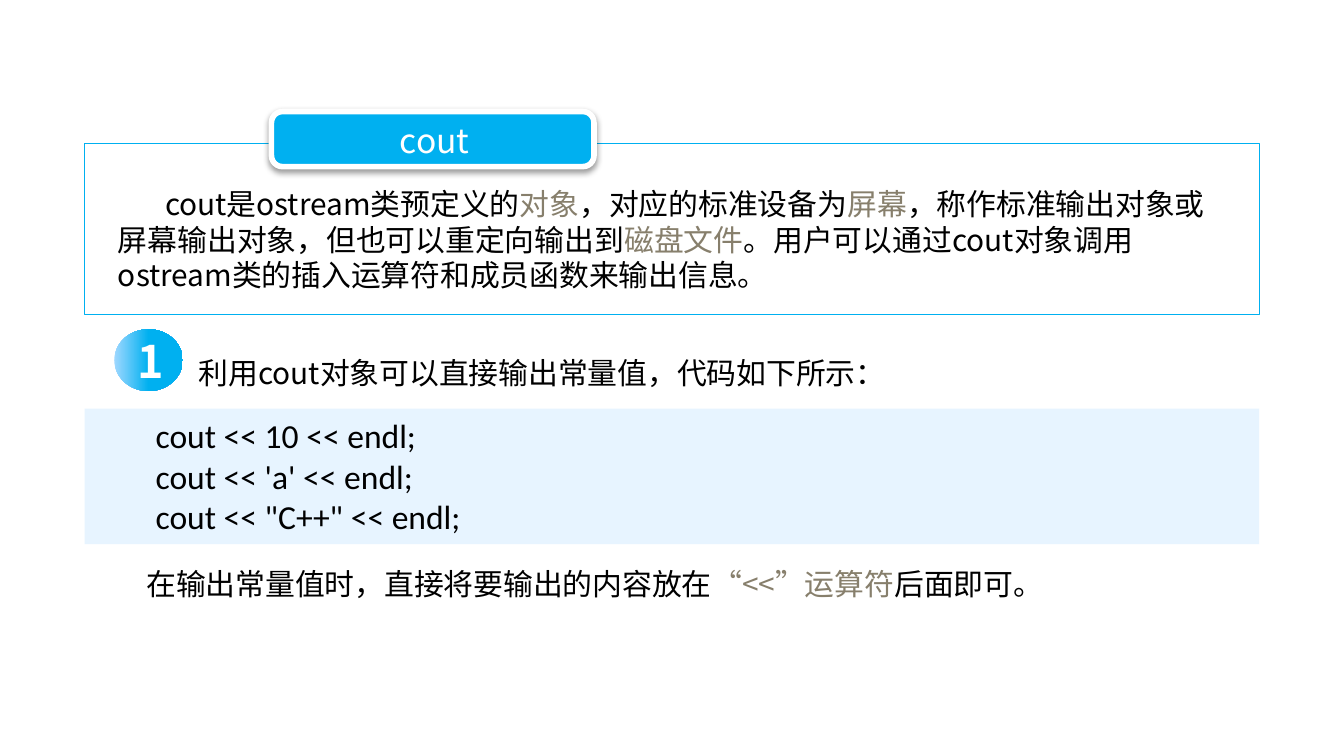
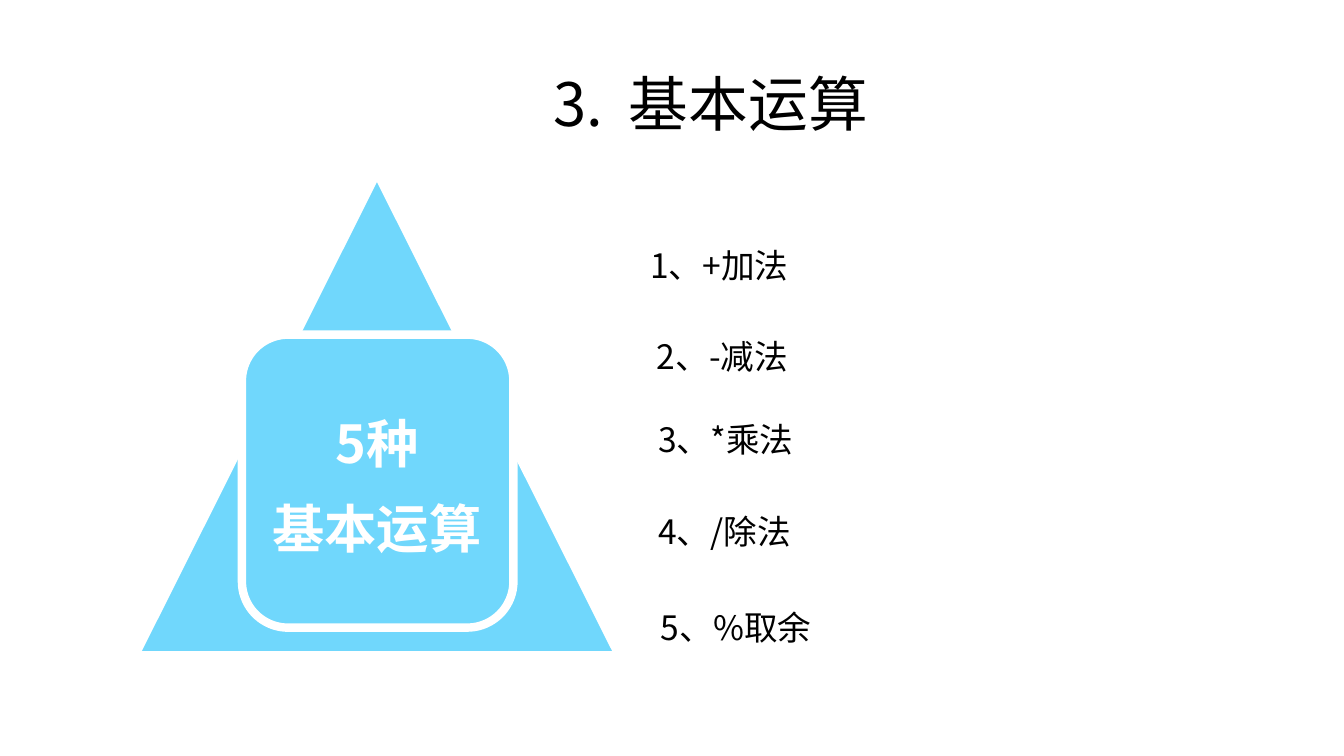
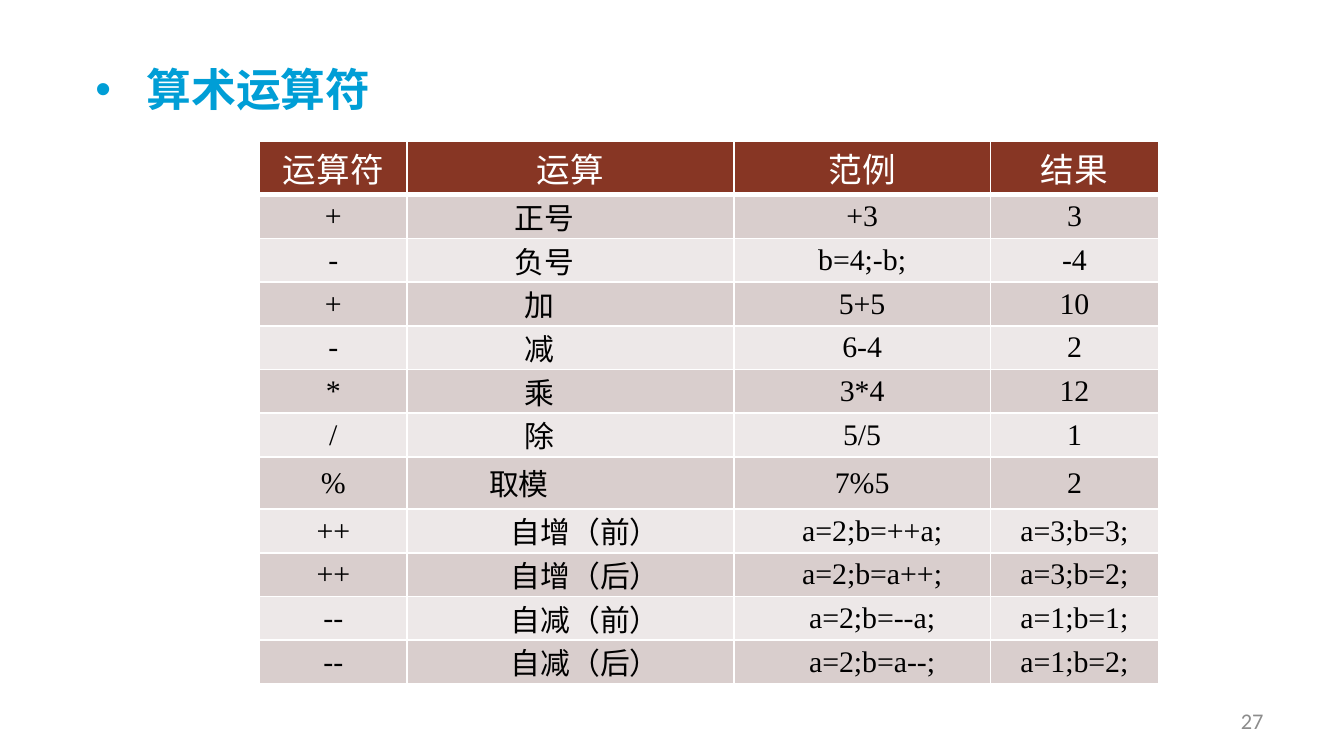
from dataclasses import dataclass
from typing import NamedTuple, Optional

from lxml import etree
from pptx import Presentation
from pptx import util as u
from pptx.dml.color import RGBColor
from pptx.enum import shapes, text
from pptx.oxml import ns

CYAN = RGBColor(0x00, 0xB0, 0xF0)
SKY = RGBColor(0x70, 0xD7, 0xFC)
ICE = RGBColor(0x9F, 0xD8, 0xFF)
CODE_BAND = RGBColor(0xE7, 0xF4, 0xFF)
TITLE_BLUE = RGBColor(0x00, 0x9E, 0xD6)
TAUPE = RGBColor(0x87, 0x7F, 0x6C)
GREY = RGBColor(0x8C, 0x8C, 0x8C)
RUST = RGBColor(0x87, 0x36, 0x24)
ROW_FILLS = (RGBColor(0xD9, 0xCE, 0xCD), RGBColor(0xED, 0xE8, 0xE8))
WHITE = RGBColor(0xFF, 0xFF, 0xFF)
BLACK = RGBColor(0x00, 0x00, 0x00)

CJK, SANS, SERIF = "Noto Sans CJK SC", "Calibri", "Times New Roman"
LEFT, CENTER, RIGHT, JUSTIFY = (
    text.PP_ALIGN.LEFT, text.PP_ALIGN.CENTER, text.PP_ALIGN.RIGHT, text.PP_ALIGN.JUSTIFY)
MIDDLE, TOP = text.MSO_ANCHOR.MIDDLE, text.MSO_ANCHOR.TOP

COLUMNS, ROWS = 100, 56.25
CELL = u.Inches(0.1)
TITLE_ONLY, BLANK = 5, 6


class Box(NamedTuple):
    """Left, top, width and height in grid cells."""
    x: float
    y: float
    w: float
    h: float


@dataclass(frozen=True)
class Style:
    size: float = 16
    color: RGBColor = BLACK
    font: str = CJK
    bold: bool = False
    align: text.PP_ALIGN = LEFT
    spacing: Optional[float] = None
    indent: float = 0
    hanging: float = 0


class Part(NamedTuple):
    """A stretch of a paragraph in its own colour."""
    words: str
    color: RGBColor


class Row(NamedTuple):
    operator: str
    operation: str
    example: str
    result: str


def grid(n: float) -> int:
    return round(n * CELL)


def place(sp, box: Box) -> None:
    for name, n in zip(("left", "top", "width", "height"), box):
        setattr(sp, name, grid(n))


def add_xml(parent, tag: str, **attrs: str):
    return etree.SubElement(parent, ns.qn(tag), attrs)


def write_paragraph(p, parts, style: Style) -> None:
    p.alignment = style.align
    if style.spacing:
        p.line_spacing = style.spacing
    if style.indent or style.hanging:
        pPr = p._p.get_or_add_pPr()
        pPr.set("marL", str(grid(style.hanging)))
        pPr.set("indent", str(grid(style.indent - style.hanging)))
    for part in [Part(parts, style.color)] if isinstance(parts, str) else parts:
        r = p.add_run()
        r.text = part.words
        values = {"size": u.Pt(style.size), "bold": style.bold, "name": style.font}
        for name, value in values.items():
            setattr(r.font, name, value)
        r.font.color.rgb = part.color
        add_xml(r._r.get_or_add_rPr(), "a:ea", typeface=CJK)


def write(tf, paragraphs, style: Style, **frame) -> None:
    for name, value in {"word_wrap": True, "vertical_anchor": TOP, **frame}.items():
        setattr(tf, name, value)
    for i, parts in enumerate(paragraphs):
        write_paragraph(tf.add_paragraph() if i else tf.paragraphs[0], parts, style)


def add_text(s, box: Box, paragraphs, style: Style, **frame) -> None:
    sp = s.shapes.add_textbox(*map(grid, box))
    frame = {"auto_size": text.MSO_AUTO_SIZE.SHAPE_TO_FIT_TEXT, **frame}
    write(sp.text_frame, paragraphs, style, **frame)


def add_shape(s, kind, box: Box, fill: RGBColor, line: Optional[RGBColor] = None,
              width: float = 0, corner: Optional[float] = None):
    sp = s.shapes.add_shape(kind, *map(grid, box))
    sp.shadow.inherit = False
    sp.fill.solid()
    sp.fill.fore_color.rgb = fill
    if line is None:
        sp.line.fill.background()
    else:
        sp.line.color.rgb = line
        sp.line.width = u.Pt(width)
    if corner is not None:
        sp.adjustments[0] = corner
    return sp


def add_shadow(sp) -> None:
    effects = sp._element.spPr.find(ns.qn("a:effectLst"))
    shadow = add_xml(effects, "a:outerShdw", blurRad=str(u.Pt(3.1)),
                     dist=str(u.Pt(1.6)), dir="5400000", rotWithShape="0")
    color = add_xml(shadow, "a:srgbClr", val="000000")
    add_xml(color, "a:alpha", val="38000")


def set_title(s, box: Box, words: str, style: Style, bullet_font: str,
              bullet: str, wrap: bool = True, **attrs: str) -> None:
    """Place the title and give it a bullet or a number."""
    sp = s.shapes.title
    place(sp, box)
    pPr = sp.text_frame.paragraphs[0]._p.get_or_add_pPr()
    add_xml(pPr, "a:buFont", typeface=bullet_font)
    add_xml(pPr, bullet, **attrs)
    write(sp.text_frame, [words], style, word_wrap=wrap,
          auto_size=text.MSO_AUTO_SIZE.SHAPE_TO_FIT_TEXT)


def fill_cell(cell, words: str, style: Style, fill: RGBColor, bottom: float) -> None:
    tcPr = cell._tc.get_or_add_tcPr()
    for side, width in {"L": 1, "R": 1, "T": 1, "B": bottom}.items():
        ln = add_xml(tcPr, f"a:ln{side}", w=str(u.Pt(width)))
        add_xml(add_xml(ln, "a:solidFill"), "a:srgbClr", val=str(WHITE))
    cell.fill.solid()
    cell.fill.fore_color.rgb = fill
    margins = {"margin_left": 0.7, "margin_right": 0.7, "margin_top": 0, "margin_bottom": 0}
    for name, n in margins.items():
        setattr(cell, name, grid(n))
    cell.vertical_anchor = MIDDLE
    write_paragraph(cell.text_frame.paragraphs[0], words, style)


def operation_layout(words: str) -> tuple:
    """Alignment and first-line indent of an operation's name."""
    if "自" in words:
        return CENTER, 2.2
    if words == "取模":
        return LEFT, 5.4
    return JUSTIFY, 8 if len(words) == 1 else 7.3


def cout_slide(prs) -> None:
    s = prs.slides.add_slide(prs.slide_layouts[BLANK])
    shape = shapes.MSO_SHAPE
    margin, width = 6.3, 87.4
    add_shape(s, shape.RECTANGLE, Box(margin, 10.7, width, 12.7), WHITE, CYAN, 0.75)
    tab = add_shape(s, shape.ROUNDED_RECTANGLE, Box(20.2, 8.3, 24, 4.1), CYAN, WHITE, 3, 0.2)
    add_shadow(tab)
    code = Box(margin, 30.4, width, 10.1)
    add_shape(s, shape.RECTANGLE, code, CODE_BAND)

    add_text(s, Box(7.8, 13.3, 83.6, 9.1), [[
        Part("cout是ostream类预定义的", BLACK), Part("对象", TAUPE),
        Part("，对应的标准设备为", BLACK), Part("屏幕", TAUPE),
        Part("，称作标准输出对象或屏幕输出对象，但也可以重定向输出到", BLACK),
        Part("磁盘文件", TAUPE),
        Part("。用户可以通过cout对象调用ostream类的插入运算符和成员函数来输出信息。", BLACK),
    ]], Style(indent=3.5))
    add_text(s, Box(13.8, 25.9, 69.7, 3.7),
             ["利用cout对象可以直接输出常量值，代码如下所示："], Style())
    add_text(s, Box(10.6, code.y, 50, code.h),
             ["cout << 10 << endl;", "cout << 'a' << endl;", 'cout << "C++" << endl;'],
             Style(18, font=SANS))
    add_text(s, Box(9.9, 41.6, 84.4, 3.7), [[
        Part("在输出常量值时，直接将要输出的内容放在", BLACK),
        Part("“<<”运算符", TAUPE), Part("后面即可。", BLACK)]], Style())
    add_text(s, Box(20.8, 8.4, 23.1, 4), ["cout"], Style(18, WHITE, align=CENTER))

    badge = add_shape(s, shape.OVAL, Box(8.5, 24.5, 5.1, 4.6), CYAN)
    badge.fill.gradient()
    badge.fill.gradient_angle = 0
    for stop, color, position in zip(badge.fill.gradient_stops, (ICE, CYAN), (0, 0.5)):
        stop.color.rgb = color
        stop.position = position
    write(badge.text_frame, ["1"], Style(24, WHITE, bold=True, align=CENTER),
          vertical_anchor=MIDDLE)


def operations_slide(prs) -> None:
    s = prs.slides.add_slide(prs.slide_layouts[TITLE_ONLY])
    set_title(s, Box(10.8, 4.5, 84.2, 6.4), "基本运算",
              Style(32, font=SERIF, align=CENTER, hanging=5.6),
              CJK, "a:buAutoNum", type="arabicPeriod", startAt="3")
    shape = shapes.MSO_SHAPE
    add_shape(s, shape.ISOSCELES_TRIANGLE, Box(10.3, 13.2, 35.5, 35.4), SKY, WHITE, 2.25)
    add_shape(s, shape.ROUNDED_RECTANGLE, Box(18, 24.9, 20.2, 21.8), SKY, WHITE, 4.5, 0.17)
    add_text(s, Box(17.1, 28.5, 21.9, 20.1), ["5种", "基本运算"],
             Style(28, WHITE, bold=True, align=CENTER, spacing=1.35))
    operations = (
        (47.4, 17.7, "+加法"), (47.9, 24.5, "-减法"), (48, 30.7, "*乘法"),
        (48, 37.5, "/除法"), (48.2, 44.7, "%取余"))
    for i, (x, y, words) in enumerate(operations, 1):
        add_text(s, Box(x, y, 29.4, 4), [f"{i}、{words}"], Style(18))


def operators_slide(prs) -> None:
    s = prs.slides.add_slide(prs.slide_layouts[TITLE_ONLY])
    add_text(s, Box(71.7, 52.1, 23.3, 3), ["27"], Style(12, GREY, SANS, align=RIGHT),
             vertical_anchor=MIDDLE, auto_size=text.MSO_AUTO_SIZE.NONE)
    set_title(s, Box(6.1, 2.1, 22.7, 7.1), "算术运算符",
              Style(24, TITLE_BLUE, SANS, True, spacing=1.5, hanging=3.8),
              "Arial", "a:buChar", wrap=False, char="•")
    header = Row("运算符", "运算", "范例", "结果")
    rows = (
        Row("+", "正号", "+3", "3"),
        Row("-", "负号", "b=4;-b;", "-4"),
        Row("+", "加", "5+5", "10"),
        Row("-", "减", "6-4", "2"),
        Row("*", "乘", "3*4", "12"),
        Row("/", "除", "5/5", "1"),
        Row("%", "取模", "7%5", "2"),
        Row("++", "自增（前）", "a=2;b=++a;", "a=3;b=3;"),
        Row("++", "自增（后）", "a=2;b=a++;", "a=3;b=2;"),
        Row("--", "自减（前）", "a=2;b=--a;", "a=1;b=1;"),
        Row("--", "自减（后）", "a=2;b=a--;", "a=1;b=2;"),
    )
    table = s.shapes.add_table(len(rows) + 1, len(header),
                               *map(grid, Box(19.3, 10.5, 66.9, 40.4))).table
    for column, n in zip(table.columns, (11, 24.3, 19.1, 12.5)):
        column.width = grid(n)
    table.rows[0].height = grid(4)
    for cell, words in zip(table.rows[0].cells, header):
        fill_cell(cell, words, Style(18, WHITE, SERIF, align=CENTER), RUST, 3)
    for i, row in enumerate(rows):
        line = table.rows[i + 1]
        line.height = grid(3.9 if row.operator == "%" else 3.25)
        layouts = {"operation": operation_layout(row.operation),
                   "example": (CENTER, 1.5 if "自" in row.operation else 0)}
        for cell, name, words in zip(line.cells, Row._fields, row):
            align, indent = layouts.get(name, (CENTER, 0))
            style = Style(font=SERIF, align=align, indent=indent)
            fill_cell(cell, words, style, ROW_FILLS[i % 2], 1)


def main() -> None:
    prs = Presentation()
    prs.slide_width, prs.slide_height = grid(COLUMNS), grid(ROWS)
    for build in (cout_slide, operations_slide, operators_slide):
        build(prs)
    prs.save("out.pptx")


if __name__ == "__main__":
    main()
